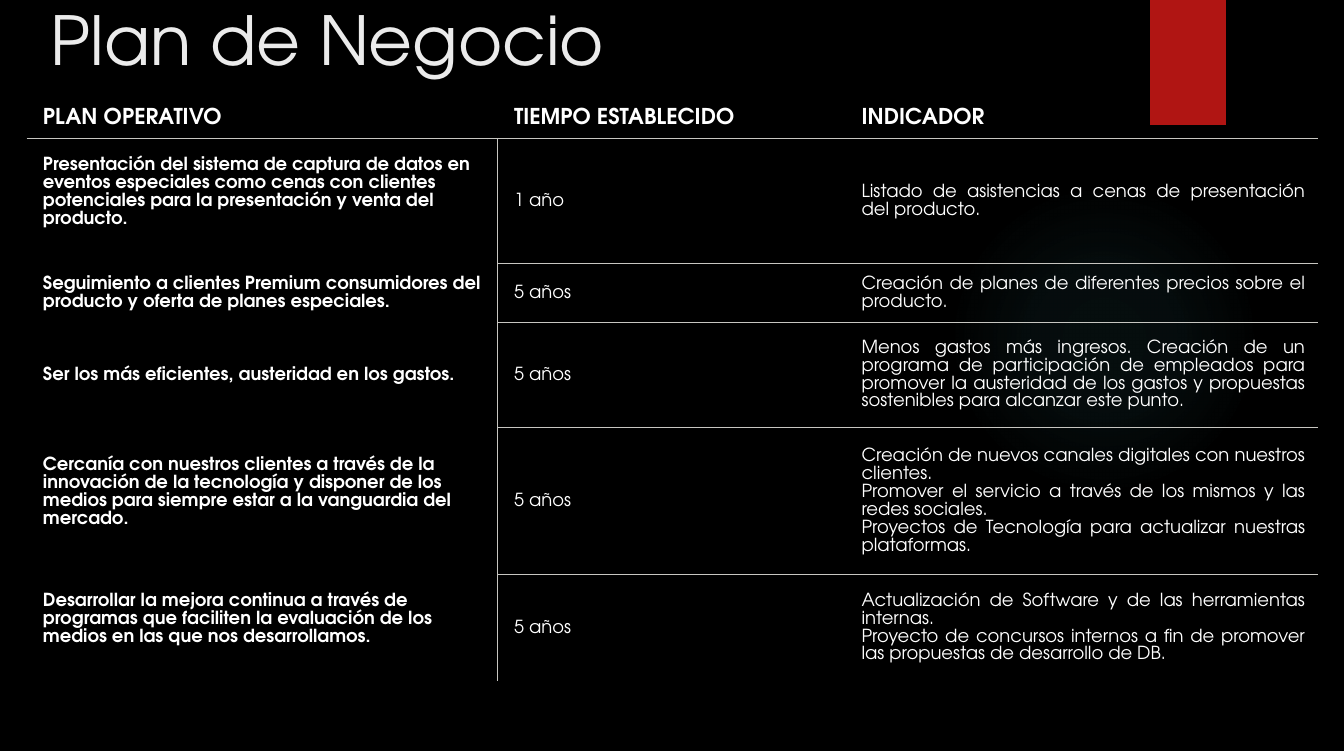
"""Builds the "Plan de Negocio" slide: a title over a table of actions, terms and indicators."""
from lxml import etree
from pptx import Presentation
from pptx.dml.color import RGBColor
from pptx.enum import shapes, text
from pptx.oxml import parse_xml
from pptx.oxml.ns import nsdecls
from pptx.util import Cm, Pt

FONT = "TeX Gyre Adventor"
COLORS = {"bg": "000000", "title": "EBEBEB", "text": "FFFFFF",
          "line": "C7C6C1", "tab": "B01513", "glow": "50B9C1"}
TITLE = "Plan de Negocio"
HEADER = ("PLAN OPERATIVO", "TIEMPO ESTABLECIDO", "INDICADOR")
ROWS = [
    ("Presentación del sistema de captura de datos en eventos especiales como cenas con "
     "clientes potenciales para la presentación y venta del producto.",
     "1 año",
     "Listado de asistencias a cenas de presentación del producto."),
    ("Seguimiento a clientes Premium consumidores del producto y oferta de planes especiales.",
     "5 años",
     "Creación de planes de diferentes precios sobre el producto."),
    ("Ser los más eficientes, austeridad en los gastos.",
     "5 años",
     "Menos gastos más ingresos. Creación de un programa de participación de empleados para "
     "promover la austeridad de los gastos y propuestas sostenibles para alcanzar este punto."),
    ("Cercanía con nuestros clientes a través de la innovación de la tecnología y disponer de "
     "los medios para siempre estar a la vanguardia del mercado.",
     "5 años",
     "Creación de nuevos canales digitales con nuestros clientes.\n"
     "Promover el servicio a través de los mismos y las redes sociales.\n"
     "Proyectos de Tecnología para actualizar nuestras plataformas."),
    ("Desarrollar la mejora continua a través de programas que faciliten la evaluación de los "
     "medios en las que nos desarrollamos.",
     "5 años",
     "Actualización de Software y de las herramientas internas.\n"
     "Proyecto de concursos internos a fin de promover las propuestas de desarrollo de DB."),
]
COL_WIDTHS = (17.53, 12.93, 17.58)
ROW_HEIGHTS = (1.52, 4.65, 2.18, 3.91, 5.49, 3.94)
RAISED_ROWS = (1, 4, 5)
LINE_HEIGHT = 0.66
GLOW_STOPS = ((0, 7), (36, 6), (69, 0))


def rgb(name):
    return RGBColor.from_string(COLORS[name])


def set_font(p, size, color, bold=False):
    p.font.name, p.font.size, p.font.bold = FONT, Pt(size), bold
    p.font.color.rgb = rgb(color)


def add_plain_shape(s, kind, *box):
    sp = s.shapes.add_shape(kind, *map(Cm, box))
    sp.shadow.inherit = False
    sp.line.fill.background()
    return sp


def add_glow(s):
    sp = add_plain_shape(s, shapes.MSO_SHAPE.OVAL, 35.31, 6.83, 11.56, 11.56)
    stops = "".join(
        f'<a:gs pos="{pos * 1000}"><a:srgbClr val="{COLORS["glow"]}">'
        f'<a:alpha val="{alpha * 1000}"/></a:srgbClr></a:gs>' for pos, alpha in GLOW_STOPS)
    grad = parse_xml(
        f'<a:gradFill {nsdecls("a")}><a:gsLst>{stops}</a:gsLst><a:path path="circle">'
        '<a:fillToRect l="50000" t="50000" r="50000" b="50000"/></a:path></a:gradFill>')
    sp.element.spPr.find("{*}prstGeom").addnext(grad)


def line_below(r, c):
    return r == 0 or (r > 0 and c > 0 and r < len(ROWS))


def line_right(r, c):
    return c == 0 and r > 0


def set_borders(cell, r, c):
    edges = {"lnL": line_right(r, c - 1), "lnR": line_right(r, c),
             "lnT": line_below(r - 1, c), "lnB": line_below(r, c)}
    tcPr = cell._tc.get_or_add_tcPr()
    for i, (tag, shown) in enumerate(edges.items()):
        fill = (f'<a:solidFill><a:srgbClr val="{COLORS["line"]}"/></a:solidFill>'
                if shown else "<a:noFill/>")
        tcPr.insert(i, parse_xml(f'<a:{tag} {nsdecls("a")} w="{Pt(0.75)}">{fill}</a:{tag}>'))


def fill_cell(cell, value, r, c):
    raised = c == 0 and r in RAISED_ROWS
    cell.text = value
    cell.vertical_anchor = text.MSO_ANCHOR.MIDDLE
    cell.margin_left, cell.margin_right = Cm(0.61), Cm(0.46)
    cell.margin_top = Cm(0.3)
    cell.margin_bottom = Cm(0.3 + LINE_HEIGHT * raised)
    cell.fill.background()
    set_borders(cell, r, c)
    for p in cell.text_frame.paragraphs:
        p.line_spacing = 1.07
        left = c == 0 and r > 0
        p.alignment = text.PP_ALIGN.LEFT if left else text.PP_ALIGN.JUSTIFY
        set_font(p, 19 if r else 23, "text", r == 0 or c == 0)


def add_plan_table(s):
    grid = [HEADER, *ROWS]
    table = s.shapes.add_table(
        len(grid), len(HEADER), Cm(0.99), Cm(3.63),
        Cm(sum(COL_WIDTHS)), Cm(sum(ROW_HEIGHTS))).table
    table.first_row = table.horz_banding = False
    for col, width in zip(table.columns, COL_WIDTHS):
        col.width = Cm(width)
    for r, (row, height) in enumerate(zip(table.rows, ROW_HEIGHTS)):
        row.height = Cm(height)
        for c, value in enumerate(grid[r]):
            fill_cell(table.cell(r, c), value, r, c)


def add_title(s):
    tf = s.shapes.add_textbox(Cm(1.63), Cm(-0.2), Cm(38.58), Cm(6.6)).text_frame
    tf.word_wrap = True
    tf.text = TITLE
    set_font(tf.paragraphs[0], 71.3, "title")


def main():
    prs = Presentation()
    prs.slide_width, prs.slide_height = Cm(50.01), Cm(27.94)
    s = prs.slides.add_slide(prs.slide_layouts[6])
    s.background.fill.solid()
    s.background.fill.fore_color.rgb = rgb("bg")
    add_glow(s)
    tab = add_plain_shape(s, shapes.MSO_SHAPE.RECTANGLE, 42.8, 0, 2.82, 4.65)
    tab.fill.solid()
    tab.fill.fore_color.rgb = rgb("tab")
    add_plan_table(s)
    add_title(s)
    prs.save("out.pptx")


if __name__ == "__main__":
    main()
